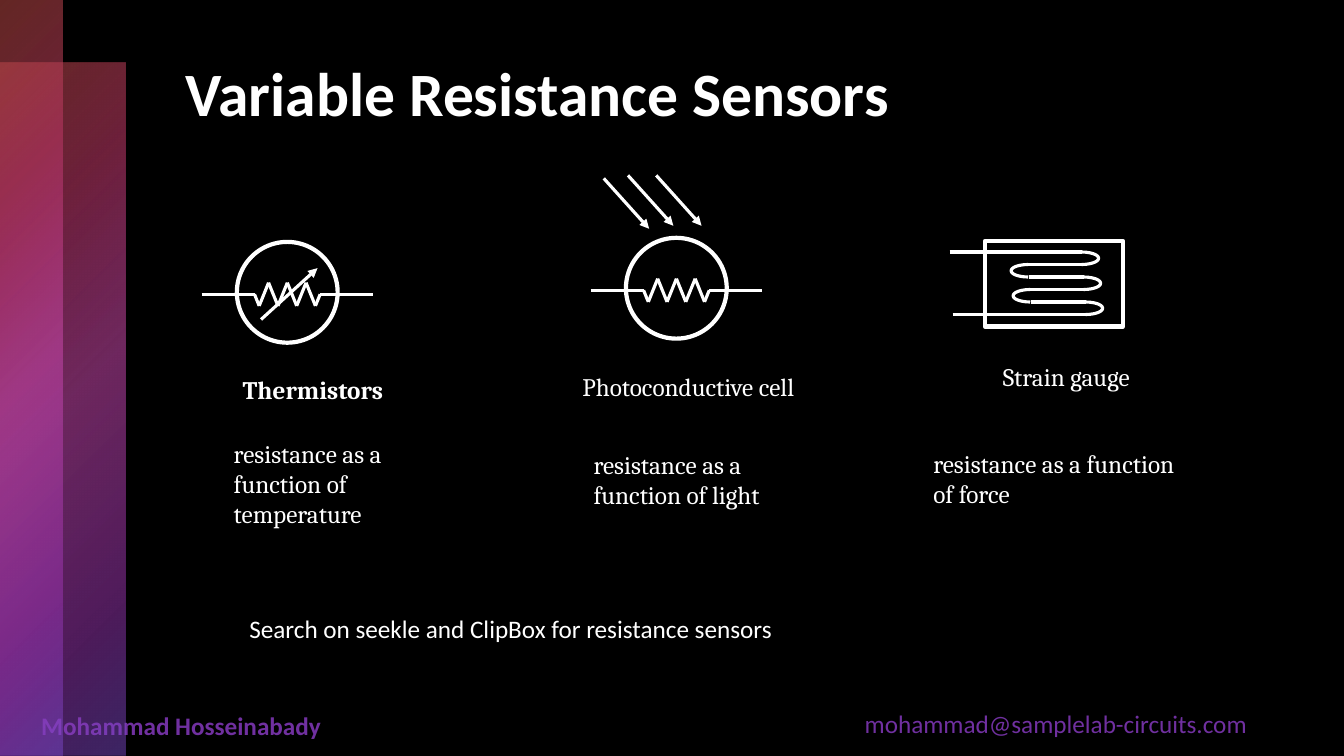
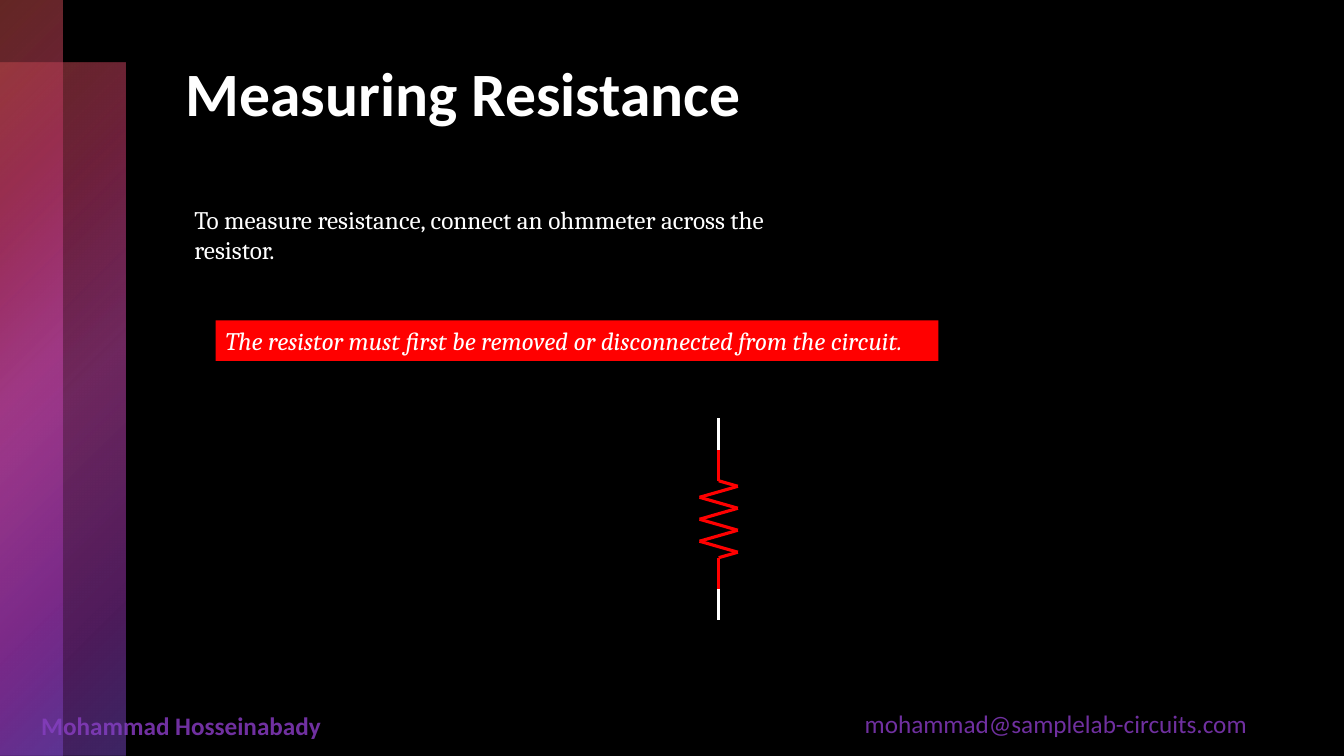
import itertools

import pptx
import pptx.dml.color
import pptx.enum.shapes
import pptx.enum.text
import pptx.oxml
import pptx.oxml.ns
import pptx.util

WIDE, HIGH = 133.33, 75
WHITE, BLACK, RED, PLUM = "FFFFFF", "000000", "FF0000", "7030A0"
STOPS = [(0, "C84E48", 50), (25, "B63665", 60), (50, "C848AC", 55),
         (81, "9C36B6", 50), (99, "7948C8", 50)]
SANS = {"name": "Calibri", "size": pptx.util.Pt(18)}
SERIF = {**SANS, "name": "Cambria"}
HEAD = {**SANS, "size": pptx.util.Pt(44), "bold": True}
FRAME = {
    "word_wrap": True,
    "auto_size": pptx.enum.text.MSO_AUTO_SIZE.NONE,
    "vertical_anchor": pptx.enum.text.MSO_ANCHOR.TOP,
}
KIND = pptx.enum.shapes.MSO_SHAPE
THIN, THICK = 2.25, 3


def cell(n):
    return pptx.util.Inches(n / 10)


def cells(*nums):
    return [cell(n) for n in nums]


def paint(code):
    return pptx.dml.color.RGBColor.from_string(code)


def apply(item, form):
    for key, val in form.items():
        setattr(item, key, val)


def node(tag, inner="", **attrs):
    pairs = "".join(f' {key}="{val}"' for key, val in attrs.items())
    space = pptx.oxml.ns.nsdecls("a")
    return pptx.oxml.parse_xml(f"<a:{tag} {space}{pairs}>{inner}</a:{tag}>")


def write(shape, text, form, color=WHITE):
    frame = shape.text_frame
    apply(frame, FRAME)
    para = frame.paragraphs[0]
    para.alignment = pptx.enum.text.PP_ALIGN.LEFT
    run = para.add_run()
    run.text = text
    apply(run.font, form)
    run.font.color.rgb = paint(color)


def label(slide, spot, text, form=SERIF, color=WHITE):
    write(slide.shapes.add_textbox(*cells(*spot)), text, form, color)


def stroke(line, color, width):
    line.color.rgb = paint(color)
    line.width = pptx.util.Pt(width)


def block(slide, kind, spot, fill=None, line=None, width=THIN):
    shape = slide.shapes.add_shape(kind, *cells(*spot))
    shape.shadow.inherit = False
    if fill:
        shape.fill.solid()
        shape.fill.fore_color.rgb = paint(fill)
    else:
        shape.fill.background()
    if line:
        stroke(shape.line, line, width)
    else:
        shape.line.fill.background()
    return shape


def wire(slide, start, end, color=WHITE, arrow=False):
    link = slide.shapes.add_connector(
        pptx.enum.shapes.MSO_CONNECTOR.STRAIGHT, *cells(*start, *end))
    stroke(link.line, color, THIN)
    if arrow:
        link.line._get_or_add_ln().append(node("tailEnd", type="triangle"))
    link._element.spPr.append(node("effectLst"))


def coil(slide, left, top, lead, step, swing, color=WHITE, upright=False):
    teeth = 7
    run = teeth * step
    peaks = [(lead + step * (i + 0.5), swing * (-1) ** i) for i in range(teeth)]
    track = [(0, 0), (lead, 0), *peaks, (lead + run, 0), (2 * lead + run, 0)]
    if upright:
        track = [(side, along) for along, side in track]
    dots = [(left + x, top + y) for x, y in track]
    for start, end in itertools.pairwise(dots):
        wire(slide, start, end, color)


def band(slide, spot):
    shape = block(slide, KIND.RECTANGLE, spot)
    stops = "".join(
        f'<a:gs pos="{at * 1000}"><a:srgbClr val="{code}">'
        f'<a:alpha val="{alpha * 1000}"/></a:srgbClr></a:gs>'
        for at, code, alpha in STOPS)
    glow = node("gradFill", f"<a:gsLst>{stops}</a:gsLst>"
                '<a:path path="circle"><a:fillToRect r="100000" b="100000"/></a:path>')
    props = shape._element.spPr
    props.replace(props.find(pptx.oxml.ns.qn("a:noFill")), glow)


def begin(deck, text):
    slide = deck.slides.add_slide(deck.slide_layouts[5])
    label(slide, (84.8, 69.8, 46, 4), "mohammad@samplelab-circuits.com", SANS, PLUM)
    label(slide, (3.1, 70, 46, 4), "Mohammad Hosseinabady", {**SANS, "bold": True}, PLUM)
    band(slide, (0, 6.2, 12.4, HIGH - 6.2))
    band(slide, (0, 0, 6.2, HIGH))
    title = slide.shapes.title
    spot = cells(17.4, 4.9, 103.7, 17)
    apply(title, dict(zip(("left", "top", "width", "height"), spot)))
    write(title, text, HEAD)
    return slide


def sensor(slide, left, top):
    block(slide, KIND.OVAL, (left, top, 10, 10), line=WHITE, width=THICK)
    coil(slide, left - 3.5, top + 5.2, 5.25, 0.93, 1.15)


def gauge(slide, left, top):
    block(slide, KIND.RECTANGLE, (left, top, 13.7, 8.5), line=WHITE, width=THICK)
    rows, gap, bend = 6, 1.24, 3.4
    for i in range(rows):
        y = top + 1.1 + gap * i
        near, far = left + 4.2 + 0.1 * i, left + 9.6 + 0.1 * i
        outer = i in (0, rows - 1)
        wire(slide, (left - 3.5 + 0.06 * i if outer else near, y), (far, y))
        if i < rows - 1:
            mid = near if i % 2 else far
            arc = block(slide, KIND.ARC, (mid - bend / 2, y, bend, gap), line=WHITE)
            arc.adjustments[0], arc.adjustments[1] = 162, 53.62
            arc.rotation = 180 * (i % 2)


def sensors(deck):
    slide = begin(deck, "Variable Resistance Sensors")
    sensor(slide, 23.5, 24)
    wire(slide, (25.9, 31.7), (31.5, 26.6), arrow=True)
    sensor(slide, 62.1, 23.6)
    for x, y in ((59.9, 17.7), (62.3, 17.4), (65.1, 17.4)):
        wire(slide, (x, y), (x + 4.5, y + 5), arrow=True)
    gauge(slide, 97.7, 23.9)
    label(slide, (23.1, 36.6, 17.3, 4), "Thermistors", {**SERIF, "bold": True})
    for spot, text in (
        ((56.8, 36.3, 23.8, 4), "Photoconductive cell"),
        ((98.5, 35.4, 15.1, 4), "Strain gauge"),
        ((22.2, 42.95, 19.2, 10.1), "resistance as a function of temperature"),
        ((57.9, 44.1, 21.7, 7.1), "resistance as a function of light"),
        ((91.6, 44, 27.9, 7.1), "resistance as a function of force"),
    ):
        label(slide, spot, text)
    label(slide, (23.75, 60.4, 66, 4),
          "Search on seekle and ClipBox for resistance sensors", SANS)


def measure(deck):
    slide = begin(deck, "Measuring Resistance")
    mid, top, lead, step = 71.3, 44.6, 3.1, 1.09
    end = top + 2 * lead + 7 * step
    coil(slide, mid, top, lead, step, 1.9, RED, upright=True)
    for y in (top - lead, end):
        wire(slide, (mid, y), (mid, y + lead))
    label(slide, (18.3, 19.8, 66.7, 7),
          "To measure resistance, connect an ohmmeter across the resistor.")
    note = block(slide, KIND.RECTANGLE, (21.4, 31.8, 71.7, 4), fill=RED)
    write(note, "The resistor must first be removed or disconnected from the circuit.",
          {**SERIF, "italic": True})


def main():
    deck = pptx.Presentation()
    apply(deck, {"slide_width": cell(WIDE), "slide_height": cell(HIGH)})
    fill = deck.slide_master.background.fill
    fill.solid()
    fill.fore_color.rgb = paint(BLACK)
    sensors(deck)
    measure(deck)
    deck.save("out.pptx")


if __name__ == "__main__":
    main()
